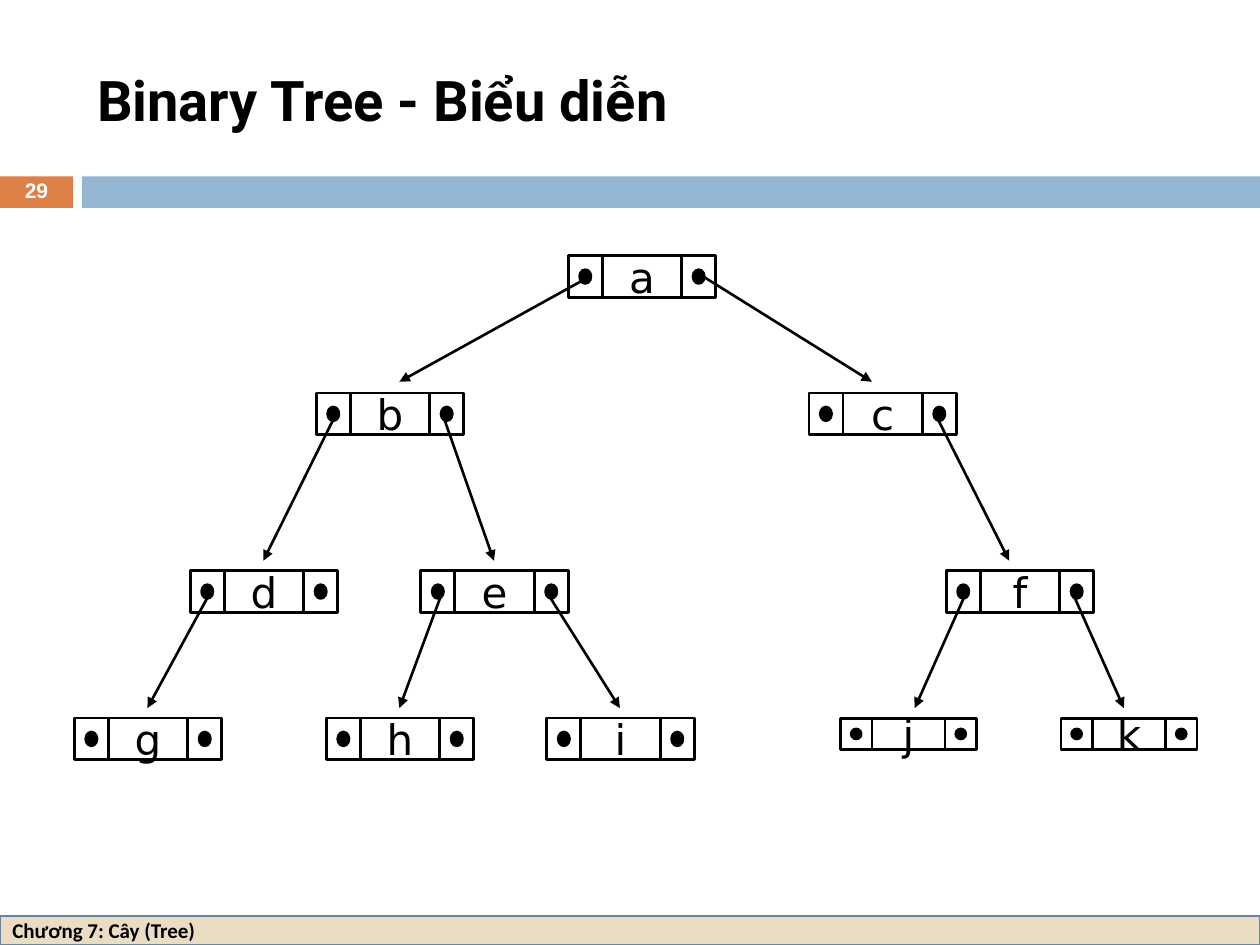
from pptx import Presentation
from pptx.dml.color import RGBColor
from pptx.enum.shapes import MSO_CONNECTOR, MSO_SHAPE
from pptx.enum.text import MSO_ANCHOR, MSO_AUTO_SIZE, PP_ALIGN
from pptx.oxml.ns import qn
from pptx.util import Inches, Pt
from lxml import etree

RECTANGLE = MSO_SHAPE.RECTANGLE
OVAL = MSO_SHAPE.OVAL
PROCESS = MSO_SHAPE.FLOWCHART_PROCESS
STRAIGHT = MSO_CONNECTOR.STRAIGHT
MIDDLE = MSO_ANCHOR.MIDDLE
NO_AUTOFIT = MSO_AUTO_SIZE.NONE
LEFT = PP_ALIGN.LEFT
CENTER = PP_ALIGN.CENTER

BLACK = RGBColor(0x00, 0x00, 0x00)
WHITE = RGBColor(0xFF, 0xFF, 0xFF)
ORANGE = RGBColor(0xDD, 0x80, 0x47)
BLUE = RGBColor(0x94, 0xB6, 0xD2)
SAND = RGBColor(0xEB, 0xDD, 0xC3)
SLATE = RGBColor(0x6B, 0x85, 0x9A)

LARGE = {"pointer": 0.27, "value": 0.63, "height": 0.33, "dot": (0.09, 0.11)}
SMALL = {"pointer": 0.25, "value": 0.58, "height": 0.25, "dot": (0.08, 0.08)}

NODES = [
    ("a", 4.51, 2.03, LARGE),
    ("b", 2.51, 3.12, LARGE),
    ("c", 6.42, 3.12, LARGE),
    ("d", 1.51, 4.53, LARGE),
    ("e", 3.34, 4.53, LARGE),
    ("g", 0.59, 5.7, LARGE),
    ("h", 2.59, 5.7, LARGE),
    ("i", 4.34, 5.7, LARGE),
    ("f", 7.51, 4.53, LARGE),
    ("j", 6.67, 5.7, SMALL),
    ("k", 8.42, 5.7, SMALL),
]

LEVELS = [
    (2.2, 3.03, [(4.67, 3.17), (5.59, 6.92)]),
    (3.28, 4.45, [(2.67, 2.09), (3.51, 3.92), (7.42, 8.01)]),
    (4.7, 5.62, [(1.67, 1.17), (3.51, 3.17), (4.34, 4.92),
                 (7.67, 7.26), (8.51, 8.92)]),
]


class TreeSlide:
    line_width = Pt(1.5)
    node_font = "DejaVu Sans"

    def __init__(self, presentation):
        self.slide = presentation.slides.add_slide(presentation.slide_layouts[5])

    def set_text(self, shape, text, font, size, color, bold=False, align=LEFT, wrap=True):
        frame = shape.text_frame
        frame.text = text
        frame.auto_size = NO_AUTOFIT
        frame.word_wrap = wrap
        frame.vertical_anchor = MIDDLE
        paragraph = frame.paragraphs[0]
        paragraph.alignment = align
        run_font = paragraph.runs[0].font
        run_font.name = font
        run_font.size = Pt(size)
        run_font.bold = bold
        run_font.color.rgb = color
        return paragraph

    def title(self, text, left, top, width, height):
        shape = self.slide.shapes.title
        shape.left, shape.top = Inches(left), Inches(top)
        shape.width, shape.height = Inches(width), Inches(height)
        self.set_text(shape, text, "Roboto", 32, BLACK, bold=True)

    def box(self, left, top, width, height, kind=RECTANGLE, fill=None, line=None, parent=None):
        shapes = (parent or self.slide).shapes
        shape = shapes.add_shape(kind, Inches(left), Inches(top), Inches(width), Inches(height))
        shape.shadow.inherit = False
        if fill is None:
            shape.fill.background()
        else:
            shape.fill.solid()
            shape.fill.fore_color.rgb = fill
        if line is None:
            shape.line.fill.background()
        else:
            shape.line.color.rgb = line
            shape.line.width = self.line_width
        return shape

    def page_number(self, text, left, top, width, height):
        shape = self.slide.shapes.add_textbox(
            Inches(left), Inches(top), Inches(width), Inches(height))
        paragraph = self.set_text(shape, text, "Arial", 12, WHITE, bold=True, align=CENTER)
        paragraph.line_spacing = 0.8

    def node(self, letter, left, top, size):
        group = self.slide.shapes.add_group_shape()
        pointer, value, height = size["pointer"], size["value"], size["height"]
        dot_width, dot_height = size["dot"]
        for cell_left in (left, left + pointer + value):
            self.box(cell_left, top, pointer, height, line=BLACK, parent=group)
            self.box(cell_left + (pointer - dot_width) / 2, top + (height - dot_height) / 2,
                     dot_width, dot_height, OVAL, BLACK, BLACK, group)
        cell = self.box(left + pointer, top, value, height, PROCESS, line=BLACK, parent=group)
        self.set_text(cell, letter, self.node_font, 24, BLACK, align=CENTER, wrap=False)

    def arrow(self, start_x, start_y, end_x, end_y):
        connector = self.slide.shapes.add_connector(
            STRAIGHT, Inches(start_x), Inches(start_y), Inches(end_x), Inches(end_y))
        connector.line.color.rgb = BLACK
        connector.line.width = self.line_width
        properties = connector._element.spPr
        etree.SubElement(properties.find(qn("a:ln")), qn("a:tailEnd"), type="triangle")
        etree.SubElement(properties, qn("a:effectLst"))


def main():
    presentation = Presentation()
    presentation.slide_width = Inches(10)
    presentation.slide_height = Inches(7.5)

    tree = TreeSlide(presentation)
    tree.box(0, 1.4, 0.58, 0.25, fill=ORANGE)
    tree.box(0.65, 1.4, 9.35, 0.25, fill=BLUE)
    footer = tree.box(0, 7.27, 10, 0.23, fill=SAND, line=SLATE)
    tree.set_text(footer, "Chương 7: Cây (Tree)", "Calibri", 12, BLACK, bold=True)
    tree.title("Binary Tree - Biểu diễn", 0.67, 0.25, 8.92, 1.08)
    tree.page_number("29", 0, 1.39, 0.58, 0.27)

    for letter, left, top, size in NODES:
        tree.node(letter, left, top, size)
    for start_y, end_y, links in LEVELS:
        for start_x, end_x in links:
            tree.arrow(start_x, start_y, end_x, end_y)

    presentation.save("out.pptx")


if __name__ == "__main__":
    main()
